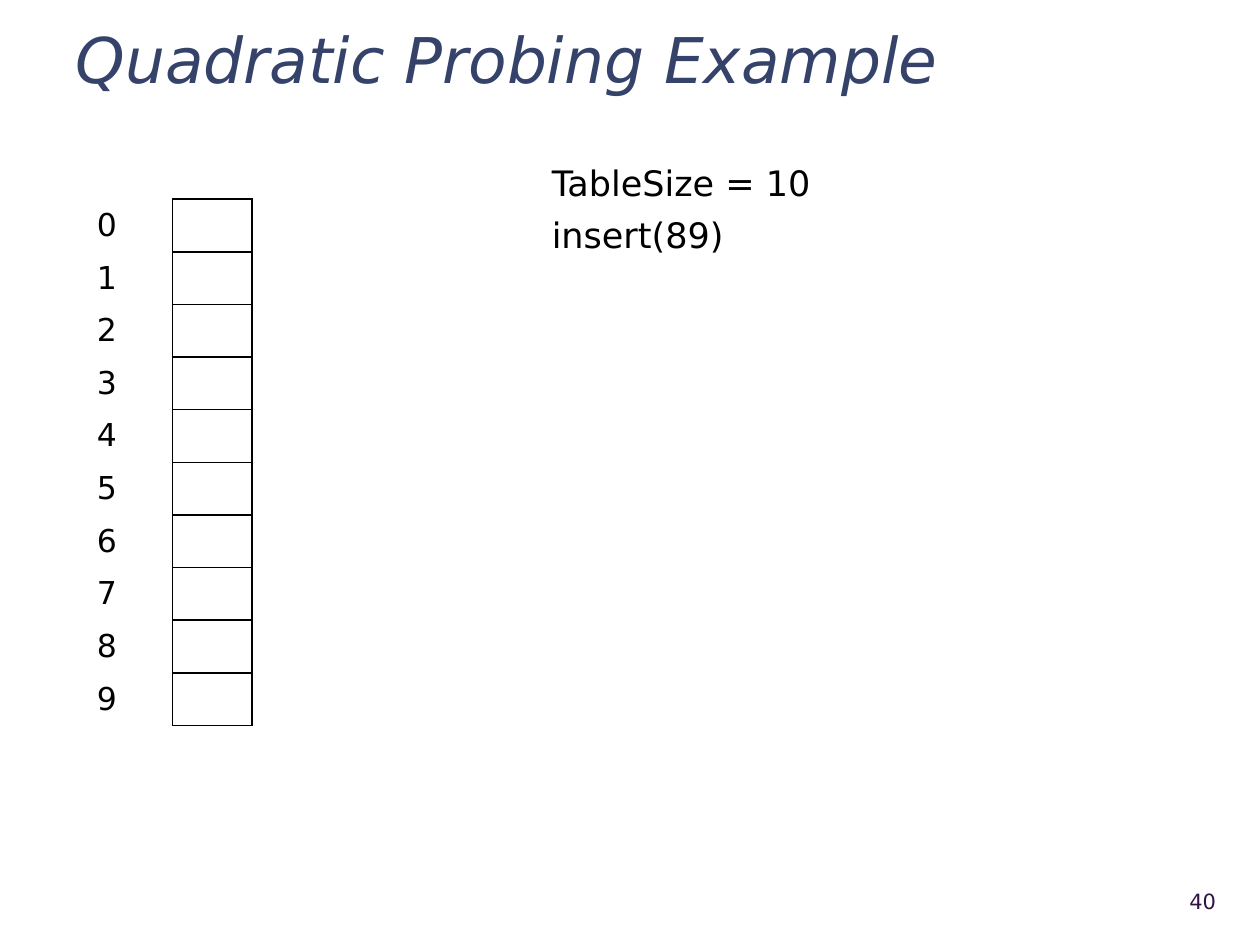
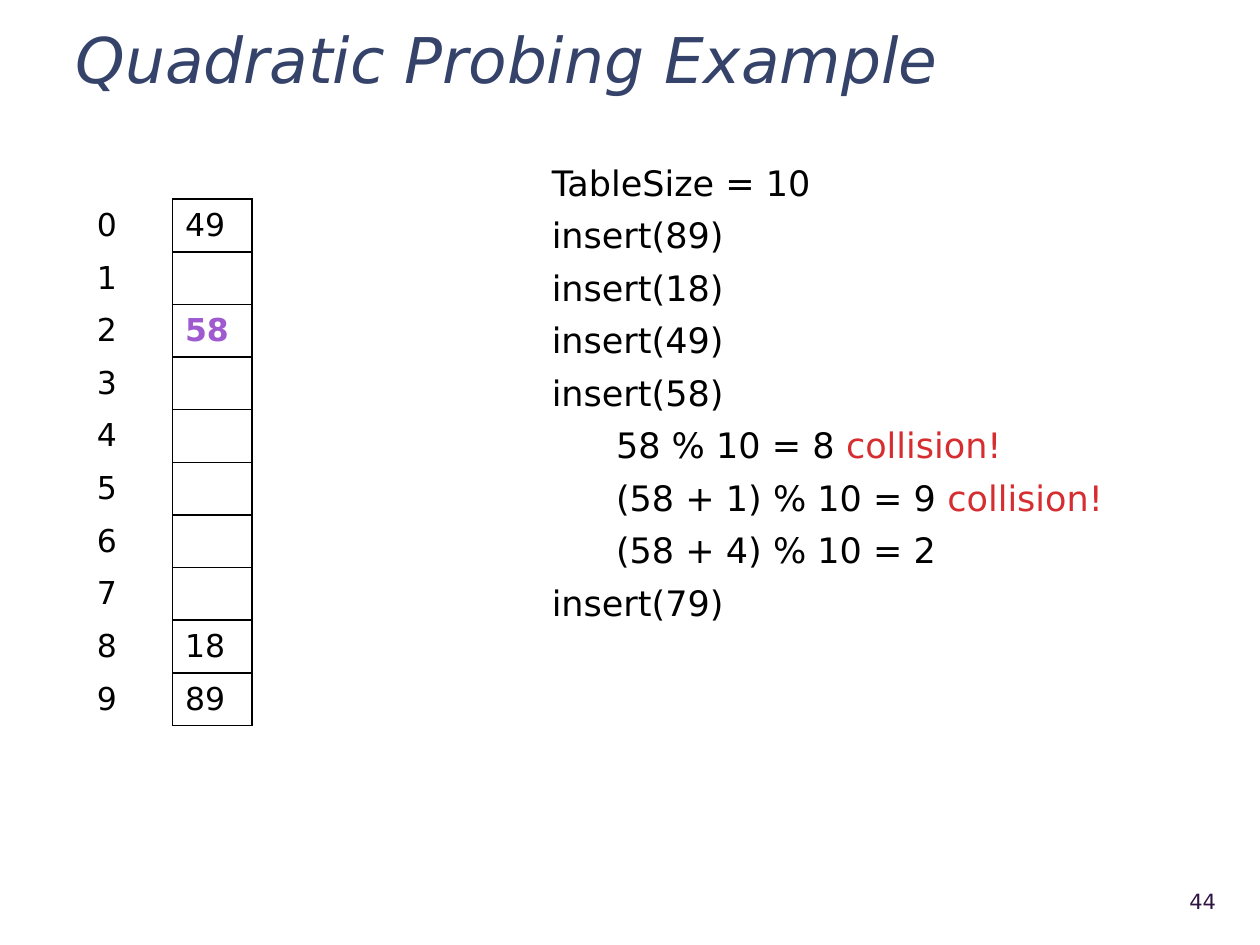
from lxml import etree
from pptx import Presentation
from pptx.dml.color import RGBColor
from pptx.enum.text import MSO_ANCHOR, MSO_AUTO_SIZE, PP_ALIGN
from pptx.oxml.ns import qn
from pptx.util import Pt

MIDDLE = MSO_ANCHOR.MIDDLE
NO_AUTOFIT = MSO_AUTO_SIZE.NONE
LEFT, RIGHT = PP_ALIGN.LEFT, PP_ALIGN.RIGHT

FONT = "DejaVu Sans"
COLORS = {
    "title": "35436A",
    "text": "000000",
    "number": "2F1343",
    "collision": "D62D31",
    "inserted": "9F5AD0",
}
TITLE_ONLY = 5
TABLE_SIZE = 10
ROW_HEIGHT = 30.1
COLUMN_WIDTHS = (50.4, 45.4)
STEP_INDENT = 36.7
BORDER_TAGS = ("a:lnL", "a:lnR", "a:lnT", "a:lnB")
COLLISION = "collision!"


def style_font(font, size, color, bold=False, italic=False):
    font.name = FONT
    font.size = Pt(size)
    font.bold = bold
    font.italic = italic
    font.color.rgb = RGBColor.from_string(COLORS[color])


def add_title(slide, text):
    title = slide.shapes.title
    title.left, title.top, title.width, title.height = Pt(36), Pt(12.2), Pt(666), Pt(38.2)
    frame = title.text_frame
    frame.text = text
    frame.auto_size = NO_AUTOFIT
    frame.vertical_anchor = MIDDLE
    para = frame.paragraphs[0]
    para.alignment = LEFT
    para.line_spacing = 1.1
    style_font(para.runs[0].font, 36, "title", italic=True)


def add_page_number(slide, number):
    box = slide.shapes.add_textbox(Pt(640), Pt(500.4), Pt(62), Pt(28.8))
    frame = box.text_frame
    frame.word_wrap = True
    frame.vertical_anchor = MIDDLE
    frame.text = str(number)
    para = frame.paragraphs[0]
    para.alignment = RIGHT
    style_font(para.runs[0].font, 12, "number")


def set_borders(cell, drawn_sides):
    """Draw the given sides of a cell and hide the other ones."""
    properties = cell._tc.get_or_add_tcPr()
    for tag in BORDER_TAGS:
        line = etree.SubElement(properties, qn(tag), w=str(Pt(1)))
        if tag in drawn_sides:
            fill = etree.SubElement(line, qn("a:solidFill"))
            etree.SubElement(fill, qn("a:srgbClr"), val=COLORS["text"])
        else:
            etree.SubElement(line, qn("a:noFill"))


def fill_cell(cell, text, drawn_sides, color="text"):
    set_borders(cell, drawn_sides)
    cell.fill.background()
    cell.vertical_anchor = MIDDLE
    cell.text = text
    para = cell.text_frame.paragraphs[0]
    style_font(para.font, 18, "text")
    for span in para.runs:
        style_font(span.font, 18, color, bold=color != "text")


def add_hash_table(slide, values, inserted=None):
    """Show values by index, with the index just filled highlighted."""
    table = slide.shapes.add_table(
        TABLE_SIZE, 2, Pt(48.2), Pt(113.8),
        Pt(sum(COLUMN_WIDTHS)), Pt(TABLE_SIZE * ROW_HEIGHT)).table
    table.first_row = False
    table.horz_banding = False
    for column, width in zip(table.columns, COLUMN_WIDTHS):
        column.width = Pt(width)
    for index, row in enumerate(table.rows):
        row.height = Pt(ROW_HEIGHT)
        fill_cell(table.cell(index, 0), str(index), ("a:lnR",))
        color = "inserted" if index == inserted else "text"
        fill_cell(table.cell(index, 1), str(values.get(index, "")), BORDER_TAGS, color)


def add_operations(slide, operations, height):
    """List calls; a tuple is an indented probe with an optional remark."""
    box = slide.shapes.add_textbox(Pt(308.2), Pt(88.6), Pt(347), Pt(height))
    frame = box.text_frame
    frame.word_wrap = True
    for index, operation in enumerate(operations):
        para = frame.paragraphs[0] if index == 0 else frame.add_paragraph()
        if index:
            para.space_before = Pt(6)
        is_probe = isinstance(operation, tuple)
        if is_probe:
            para._p.get_or_add_pPr().set("marL", str(Pt(STEP_INDENT)))
        for text in operation if is_probe else (operation,):
            span = para.add_run()
            span.text = text
            style_font(span.font, 20, "collision" if text == COLLISION else "text")


def add_example_slide(deck, number, values, operations, height, inserted=None):
    slide = deck.slides.add_slide(deck.slide_layouts[TITLE_ONLY])
    add_title(slide, "Quadratic Probing Example")
    add_operations(slide, operations, height)
    add_page_number(slide, number)
    add_hash_table(slide, values, inserted)


def main():
    deck = Presentation()
    deck.slide_width, deck.slide_height = Pt(720), Pt(540)

    start = ["TableSize = 10", "insert(89)"]
    add_example_slide(deck, 40, {}, start, 62)

    later_steps = [
        "insert(18)",
        "insert(49)",
        "insert(58)",
        ("58 % 10 = 8 ", COLLISION),
        ("(58 + 1) % 10 = 9 ", COLLISION),
        ("(58 + 4) % 10 = 2",),
        "insert(79)",
    ]
    values = {0: 49, 2: 58, 8: 18, 9: 89}
    add_example_slide(deck, 44, values, start + later_steps, 273.6, inserted=2)

    deck.save("out.pptx")


if __name__ == "__main__":
    main()
